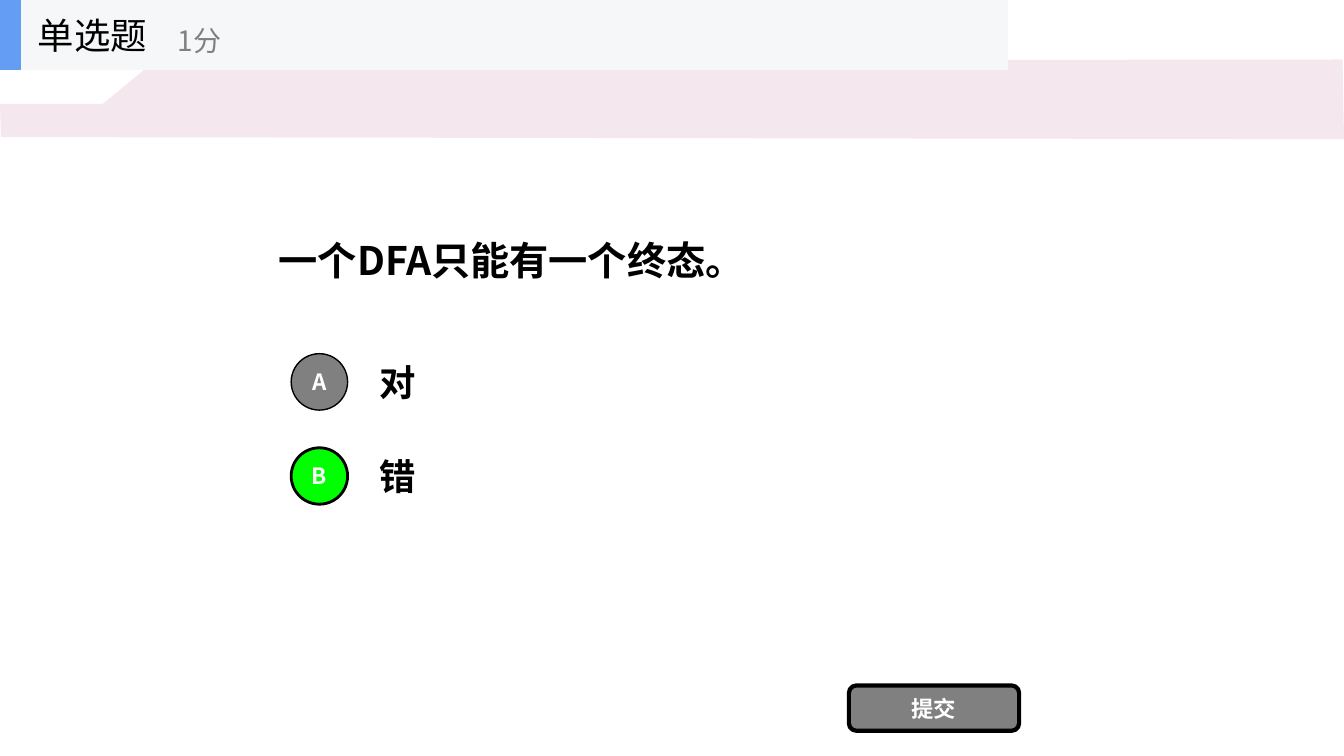
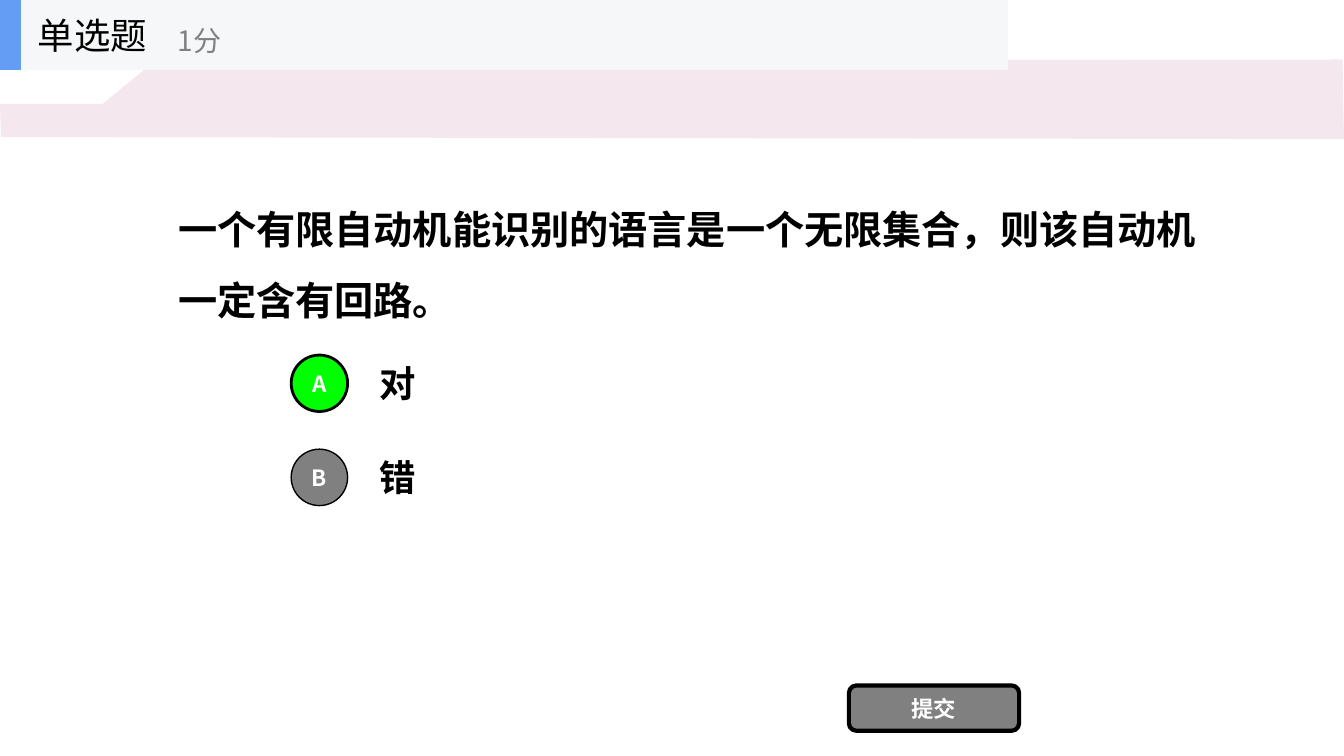
from pptx import Presentation
from pptx.dml.color import RGBColor
from pptx.enum.shapes import MSO_SHAPE
from pptx.enum.text import MSO_ANCHOR, MSO_AUTO_SIZE, PP_ALIGN
from pptx.oxml.ns import qn
from pptx.util import Pt

BLACK = RGBColor(0x00, 0x00, 0x00)
WHITE = RGBColor(0xFF, 0xFF, 0xFF)
GREY = RGBColor(0x80, 0x80, 0x80)
GREEN = RGBColor(0x00, 0xFF, 0x00)
PINK = RGBColor(0xF4, 0xE7, 0xED)
PALE = RGBColor(0xF6, 0xF7, 0xF8)
BLUE = RGBColor(0x63, 0x9E, 0xF4)

CJK_FONT = "Noto Sans CJK SC"
TITLE_ONLY = 5
BAND = [(0, 74.2), (73.4, 74.2), (129.6, 28), (360, 28),
        (377.3, 43.2), (959, 42.5), (960, 99.4), (0.7, 97.9)]
OPTION_PITCH = 67.2
CIRCLE = 40.3
OPTION_HEIGHT = 50.4


class QuizDeck:
    """Holds the quiz style and the slide being built."""

    def __init__(self):
        self.prs = Presentation()
        self.prs.slide_width, self.prs.slide_height = Pt(960), Pt(540)
        self.slide = None

    def new_slide(self):
        layout = self.prs.slide_layouts[TITLE_ONLY]
        self.slide = self.prs.slides.add_slide(layout)
        self.band()
        self.header()

    def set_text(self, sp, text, size, color=BLACK, bold=True, font=CJK_FONT,
                 align=PP_ALIGN.LEFT, spacing=1.0):
        tf = sp.text_frame
        tf.word_wrap = True
        tf.auto_size = MSO_AUTO_SIZE.NONE
        tf.vertical_anchor = MSO_ANCHOR.MIDDLE
        p = tf.paragraphs[0]
        p.alignment, p.line_spacing = align, spacing
        r = p.add_run()
        r.text = text
        r.font.name, r.font.size, r.font.bold = font, Pt(size), bold
        r.font.color.rgb = color
        props = r._r.get_or_add_rPr()
        ea = props.makeelement(qn("a:ea"), {"typeface": CJK_FONT})
        props.find(qn("a:latin")).addnext(ea)

    def paint(self, sp, fill, line_width=0):
        sp.shadow.inherit = False
        sp.fill.solid()
        sp.fill.fore_color.rgb = fill
        if line_width:
            sp.line.color.rgb = BLACK
            sp.line.width = Pt(line_width)
        else:
            sp.line.fill.background()

    def shape(self, kind, box, fill, line_width=0, parent=None):
        shapes = (parent or self.slide).shapes
        sp = shapes.add_shape(kind, *map(Pt, box))
        self.paint(sp, fill, line_width)
        return sp

    def label(self, box, text, size, parent=None, **style):
        shapes = (parent or self.slide).shapes
        self.set_text(shapes.add_textbox(*map(Pt, box)), text, size, **style)

    def button(self, kind, box, text, fill, line_width):
        """Draws an outlined shape with white centred text."""
        sp = self.shape(kind, box, fill, line_width)
        tf = sp.text_frame
        tf.margin_left = tf.margin_right = tf.margin_top = tf.margin_bottom = 0
        self.set_text(sp, text, 16, WHITE, align=PP_ALIGN.CENTER)

    def band(self):
        points = [(Pt(x), Pt(y)) for x, y in BAND]
        builder = self.slide.shapes.build_freeform(*points[0])
        builder.add_line_segments(points[1:], close=True)
        self.paint(builder.convert_to_shape(), PINK)

    def header(self):
        group = self.slide.shapes.add_group_shape()
        self.shape(MSO_SHAPE.RECTANGLE, (0, 0, 720, 50), PALE, parent=group)
        self.shape(MSO_SHAPE.RECTANGLE, (0, 0, 15, 50), BLUE, parent=group)
        self.label((20, 0, 150, 50), "单选题", 26, group, bold=False)
        self.label((120, 8.6, 180, 40), "1分", 20, group, color=GREY, bold=False)

    def question(self, box, text, **style):
        title = self.slide.shapes.title
        title.left, title.top, title.width, title.height = map(Pt, box)
        self.set_text(title, text, 28, **style)

    def options(self, first_middle, answer):
        """Draws the lettered choices, with the right answer in green."""
        for i, (letter, text) in enumerate([("A", "对"), ("B", "错")]):
            middle = first_middle + i * OPTION_PITCH
            fill, line_width = (GREEN, 2) if letter == answer else (GREY, 1)
            self.label((264, middle - OPTION_HEIGHT / 2, 504, OPTION_HEIGHT), text, 26)
            self.button(MSO_SHAPE.OVAL, (208, middle - CIRCLE / 2, CIRCLE, CIRCLE),
                        letter, fill, line_width)

    def submit(self):
        self.button(MSO_SHAPE.ROUNDED_RECTANGLE, (606.4, 489.6, 121.6, 32.4),
                    "提交", GREY, 3)


def main():
    deck = QuizDeck()

    deck.new_slide()
    deck.question((192, 101.5, 576, 168.5), "一个DFA只能有一个终态。")
    deck.options(272.8, answer="B")
    deck.submit()

    deck.new_slide()
    deck.question((120, 113, 762.5, 134.6),
                  "一个有限自动机能识别的语言是一个无限集合，则该自动机一定含有回路。",
                  font="Arial", spacing=1.5)
    deck.options(273.8, answer="A")
    deck.submit()

    deck.prs.save("out.pptx")


if __name__ == "__main__":
    main()
